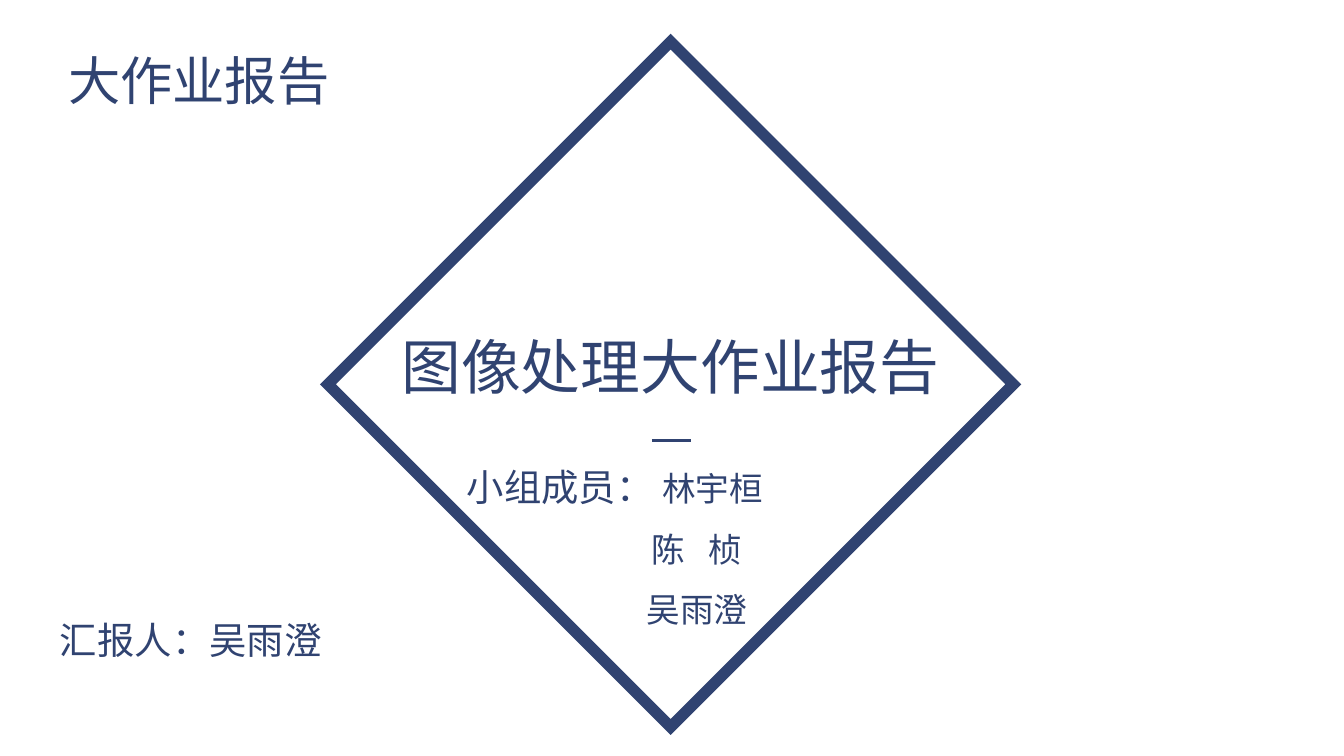
"""Build the cover slide of the image processing project report."""
import pptx
import pptx.dml.color
import pptx.enum.shapes
import pptx.enum.text
import pptx.oxml.ns
import pptx.util
from lxml import etree
from pptx.util import Inches

NAVY = pptx.dml.color.RGBColor(0x30, 0x43, 0x71)
HEADING_FONT = "Noto Sans CJK SC"
BODY_FONT = "Arial"


def place_text(box, left, top, width, height, wrap=True):
    box.left, box.top = Inches(left), Inches(top)
    box.width, box.height = Inches(width), Inches(height)
    frame = box.text_frame
    frame.word_wrap = wrap
    frame.auto_size = pptx.enum.text.MSO_AUTO_SIZE.NONE
    frame.vertical_anchor = pptx.enum.text.MSO_ANCHOR.MIDDLE
    return frame


def add_span(para, text, size, font=BODY_FONT):
    para.alignment = pptx.enum.text.PP_ALIGN.CENTER
    span = para.add_run()
    span.text = text
    span.font.size = pptx.util.Pt(size)
    span.font.name = font
    span.font.color.rgb = NAVY
    return span


deck = pptx.Presentation()
deck.slide_width = Inches(10)
deck.slide_height = Inches(10) * 9 // 16
page = deck.slides.add_slide(deck.slide_layouts[5])
shapes = page.shapes

title = place_text(shapes.title, 2.69, 2.4, 4.6, 0.64)
add_span(title.paragraphs[0], "图像处理大作业报告", 32, HEADING_FONT)

presenter = place_text(shapes.add_textbox(0, 0, 0, 0), -0.85, 4.54, 4.54, 0.44)
add_span(presenter.paragraphs[0], "汇报人：吴雨澄", 20)

members = place_text(shapes.add_textbox(0, 0, 0, 0), 2.83, 3.23, 3.49, 1.51)
first, second, third = members.paragraphs[0], members.add_paragraph(), members.add_paragraph()
for para in (first, second, third):
    para.line_spacing = 1.5
for para in (second, third):
    para._p.get_or_add_pPr().set("marL", str(Inches(1.22)))
add_span(first, "小组成员： ", 20)
add_span(first, "林宇桓", 18)
add_span(second, "陈", 18)
gap = add_span(second, " ", 18)
gap.font._element.set("spc", "880")
add_span(second, "桢", 18)
add_span(third, "吴雨澄", 18)

divider = shapes.add_connector(
    pptx.enum.shapes.MSO_CONNECTOR.STRAIGHT,
    Inches(4.85), Inches(3.28), Inches(5.14), Inches(3.28))
divider.line.color.rgb = NAVY
divider.line.width = pptx.util.Pt(1.5)
etree.SubElement(divider._element.spPr, pptx.oxml.ns.qn("a:effectLst"))

diamond = shapes.add_shape(
    pptx.enum.shapes.MSO_SHAPE.DIAMOND,
    Inches(2.44), Inches(0.31), Inches(5.1), Inches(5.1))
diamond.shadow.inherit = False
diamond.fill.background()
diamond.line.color.rgb = NAVY
diamond.line.width = pptx.util.Pt(6)
outline = diamond.line._get_or_add_ln()
etree.SubElement(outline, pptx.oxml.ns.qn("a:miter"), lim="800000")

heading = place_text(shapes.add_textbox(0, 0, 0, 0), 0.41, 0.31, 2.14, 0.57, False)
add_span(heading.paragraphs[0], "大作业报告", 28, HEADING_FONT)

deck.save("out.pptx")
